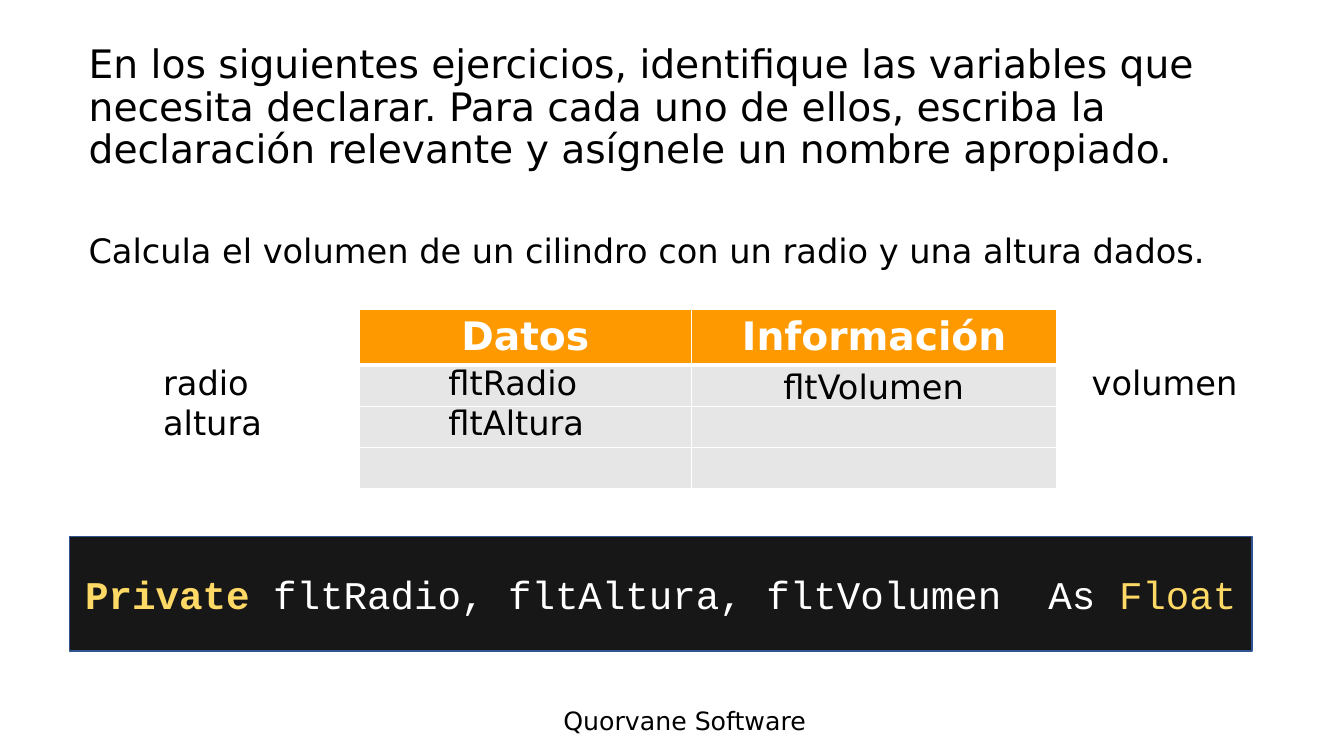
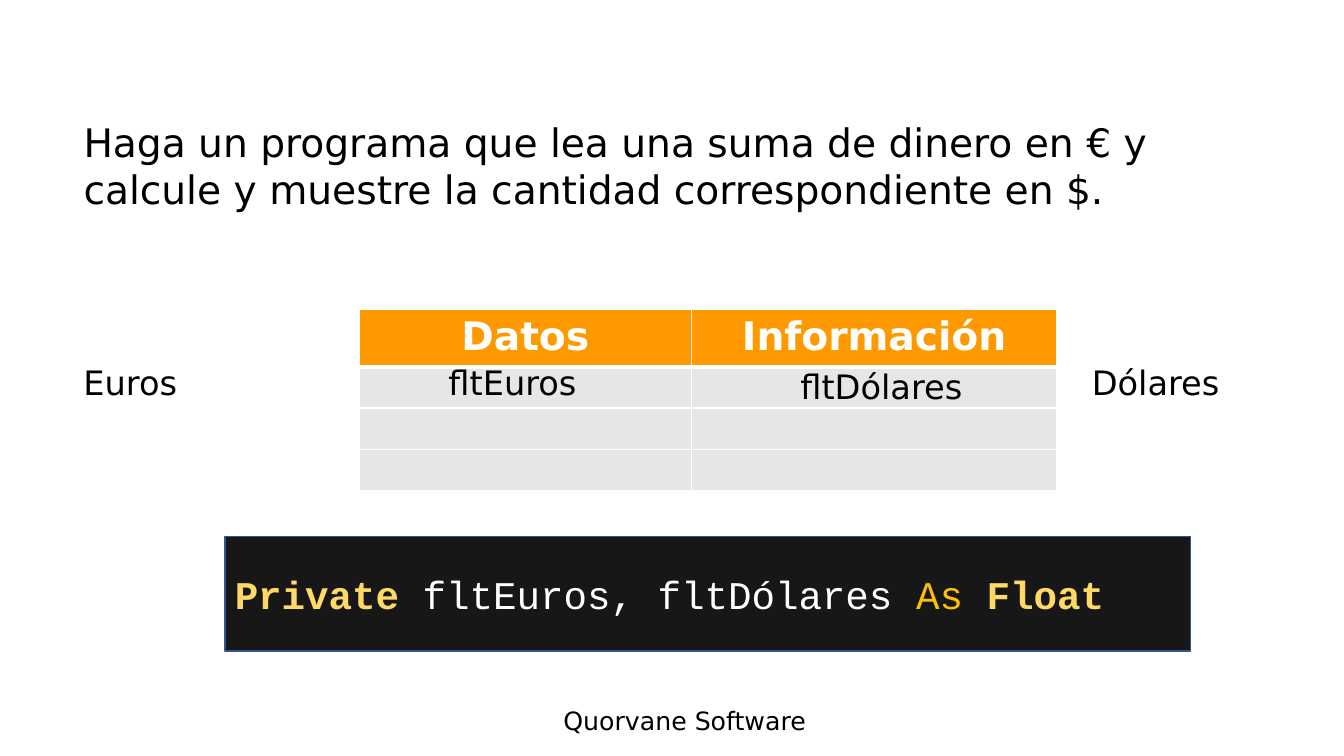
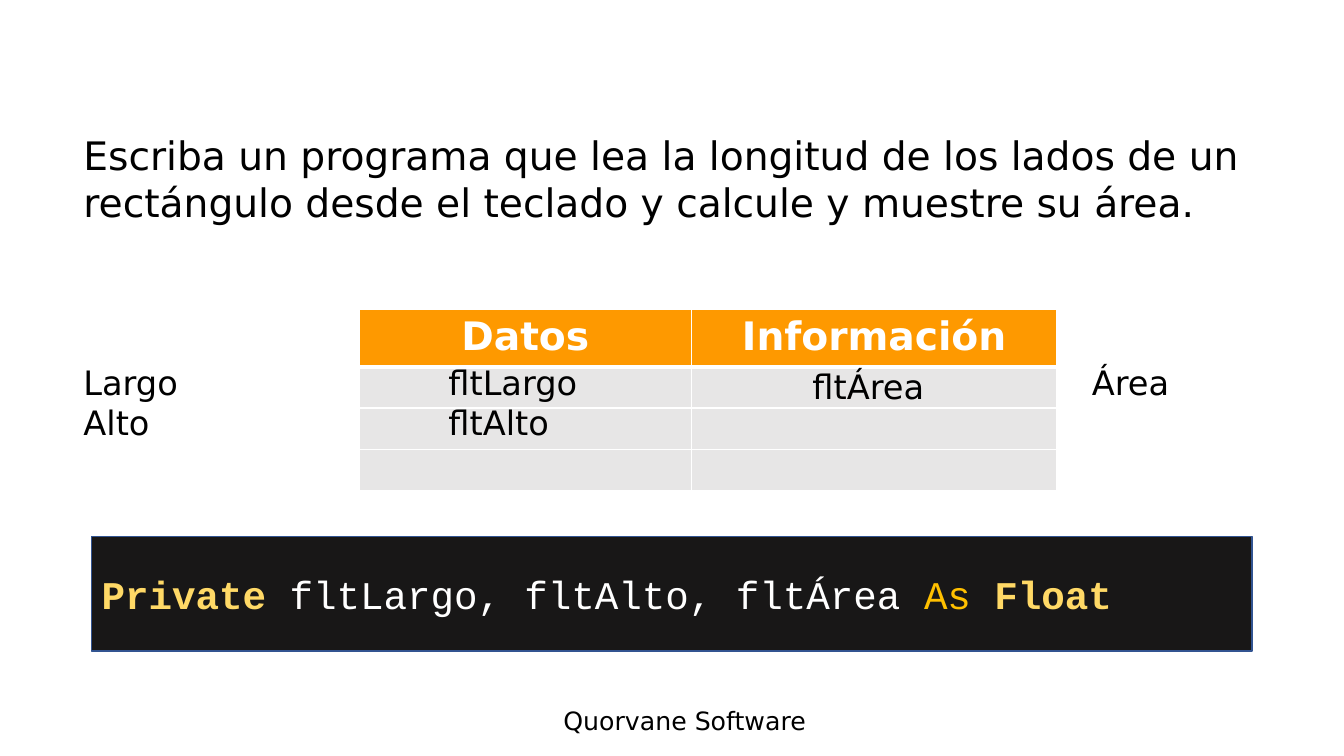
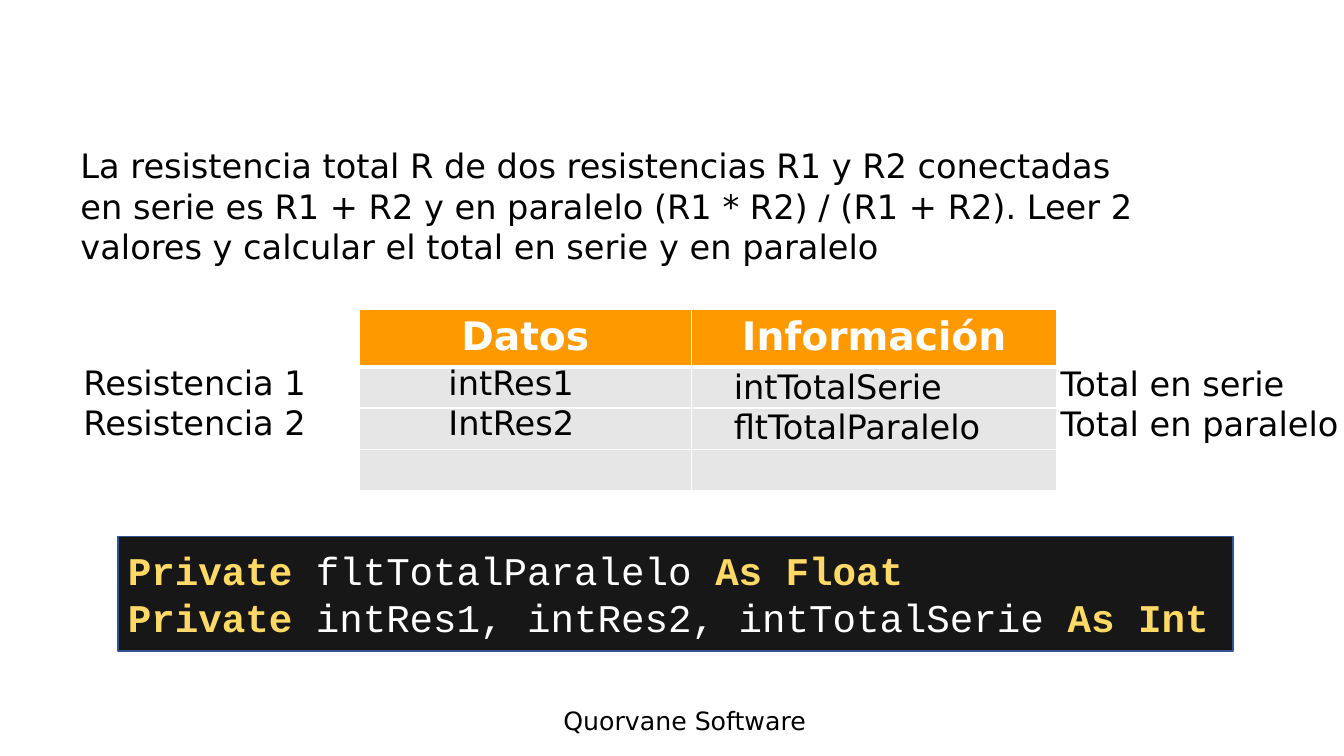
"""Build four exercise slides on choosing and declaring variables."""
from dataclasses import dataclass, field
from typing import Any

from lxml.etree import SubElement
from pptx import Presentation
from pptx.dml.color import RGBColor as RGB
from pptx.enum.shapes import MSO_SHAPE as SHAPE
from pptx.enum.text import MSO_ANCHOR as ANCHOR, MSO_AUTO_SIZE as AUTO, PP_ALIGN as ALIGN
from pptx.oxml.ns import qn
from pptx.util import Emu, Pt


@dataclass(frozen=True)
class Theme:
    """Colours, fonts and type sizes of the deck."""
    text: str = "000000"
    white: str = "FFFFFF"
    header: str = "FE9900"
    cell: str = "E7E6E6"
    code: str = "181717"
    outline: str = "325491"
    keyword: str = "FFD966"
    accent: str = "FFC000"
    sans: str = "DejaVu Sans"
    mono: str = "Courier New"
    large: int = 28
    medium: int = 24
    small: int = 18


@dataclass(frozen=True)
class Box:
    """A rectangle in px."""
    x: int
    y: int
    w: int
    h: int

    def emu(self) -> tuple[Emu, ...]:
        """Give left, top, width and height in EMU."""
        return tuple(px(v) for v in (self.x, self.y, self.w, self.h))


@dataclass(frozen=True)
class Run:
    """A stretch of text in one format."""
    text: str
    color: str
    bold: bool = False


@dataclass(frozen=True)
class Label:
    """Lines of plain text in a box."""
    box: Box
    lines: list[str]
    size: int = Theme.medium


@dataclass(frozen=True)
class Exercise:
    """The content of one slide."""
    labels: list[Label]
    code_x: int
    code_w: int
    code: list[list[Run]]
    code_align: Any = ALIGN.LEFT
    title: str = ""


THEME = Theme()
EMU_PER_PX = 9144
TABLE = Box(356, 307, 692, 178)
COLUMNS = (330, 362)
ROWS = (55, 41, 41, 41)
HEADINGS = ("Datos", "Información")
TITLE = Box(78, 27, 1163, 161)
FOOTER = Label(Box(549, 695, 290, 40), ["Quorvane Software"], THEME.small)
CODE_Y, CODE_H = 532, 114
NAMES_Y = 354
RESULT_Y = 358


def px(v: int) -> Emu:
    """Turn px into EMU."""
    return Emu(v * EMU_PER_PX)


def keyword(text: str) -> Run:
    """Make a bold keyword run."""
    return Run(text, THEME.keyword, True)


def plain(text: str) -> Run:
    """Make a plain code run."""
    return Run(text, THEME.white)


def names(x: int, w: int, *lines: str, y: int = NAMES_Y) -> Label:
    """Make a list of names beside or over the table."""
    return Label(Box(x, y, w, 10 + 40 * len(lines)), list(lines))


def write(tf: Any, lines: list[list[Run]], size: int, font: str = THEME.sans,
          **formats: Any) -> None:
    """Write paragraphs of runs into a text frame."""
    for i, runs in enumerate(lines):
        p = tf.add_paragraph() if i else tf.paragraphs[0]
        for key, value in formats.items():
            setattr(p, key, value)
        for run in runs:
            r = p.add_run()
            r.text = run.text
            for key, value in {"name": font, "size": Pt(size), "bold": run.bold}.items():
                setattr(r.font, key, value)
            r.font.color.rgb = RGB.from_string(run.color)


def paint(fill: Any, color: str) -> None:
    """Give a fill one solid colour."""
    fill.solid()
    fill.fore_color.rgb = RGB.from_string(color)


def add_label(s: Any, label: Label) -> Any:
    """Add a wrapping text box."""
    sp = s.shapes.add_textbox(*label.box.emu())
    sp.text_frame.word_wrap = True
    write(sp.text_frame, [[Run(t, THEME.text)] for t in label.lines], label.size)
    return sp


def add_title(s: Any, text: str) -> None:
    """Place and fill the title placeholder."""
    sp = s.shapes.title
    for key, value in zip(("left", "top", "width", "height"), TITLE.emu()):
        setattr(sp, key, value)
    tf = sp.text_frame
    for key, value in {"vertical_anchor": ANCHOR.MIDDLE, "auto_size": AUTO.NONE,
                       "word_wrap": True}.items():
        setattr(tf, key, value)
    write(tf, [[Run(text, THEME.text)]], THEME.large,
          alignment=ALIGN.LEFT, line_spacing=0.9)


def add_borders(cell: Any, top: int, bottom: int) -> None:
    """Draw white borders, with top and bottom widths in points."""
    pr = cell._tc.get_or_add_tcPr()
    for side, width in {"lnL": 1, "lnR": 1, "lnT": top, "lnB": bottom}.items():
        ln = SubElement(pr, qn(f"a:{side}"), w=str(Pt(width)))
        fill = SubElement(ln, qn("a:solidFill"))
        SubElement(fill, qn("a:srgbClr"), val=THEME.white)


def add_table(s: Any) -> None:
    """Add the table of data and information."""
    table = s.shapes.add_table(len(ROWS), len(COLUMNS), *TABLE.emu()).table
    for column, width in zip(table.columns, COLUMNS):
        column.width = px(width)
    for i, (row, height) in enumerate(zip(table.rows, ROWS)):
        row.height = px(height)
        for cell in row.cells:
            add_borders(cell, 3 if i == 1 else 1, 1 if i else 3)
            paint(cell.fill, THEME.cell if i else THEME.header)
    for cell, heading in zip(table.rows[0].cells, HEADINGS):
        write(cell.text_frame, [[Run(heading, THEME.white, True)]], THEME.large,
              alignment=ALIGN.CENTER)


def add_code(s: Any, ex: Exercise) -> None:
    """Add the dark panel with the declaration."""
    sp = s.shapes.add_shape(SHAPE.RECTANGLE, *Box(ex.code_x, CODE_Y, ex.code_w, CODE_H).emu())
    sp.shadow.inherit = False
    paint(sp.fill, THEME.code)
    paint(sp.line.fill, THEME.outline)
    sp.line.width = Pt(1)
    tf = sp.text_frame
    tf.word_wrap = True
    tf.vertical_anchor = ANCHOR.MIDDLE
    write(tf, ex.code, THEME.large, THEME.mono, alignment=ex.code_align)


def add_exercise(prs: Any, ex: Exercise) -> Any:
    """Add one exercise slide."""
    s = prs.slides.add_slide(prs.slide_layouts[5 if ex.title else 6])
    if ex.title:
        add_title(s, ex.title)
    add_table(s)
    for label in ex.labels:
        add_label(s, label)
    add_code(s, ex)
    return s


EXERCISES = [
    Exercise(
        title="En los siguientes ejercicios, identifique las variables que necesita declarar. "
              "Para cada uno de ellos, escriba la declaración relevante y asígnele un nombre "
              "apropiado.",
        labels=[
            Label(Box(78, 223, 1163, 50),
                  ["Calcula el volumen de un cilindro con un radio y una altura dados."]),
            names(152, 204, "radio", "altura"),
            names(1073, 196, "volumen"),
            names(435, 204, "fltRadio", "fltAltura"),
            names(767, 225, "fltVolumen", y=RESULT_Y),
        ],
        code_x=69, code_w=1173, code_align=ALIGN.CENTER,
        code=[[keyword("Private "), plain("fltRadio, fltAltura, fltVolumen  As "),
               Run("Float", THEME.keyword)]],
    ),
    Exercise(
        labels=[
            Label(Box(73, 112, 1169, 104),
                  ["Haga un programa que lea una suma de dinero en € y calcule y muestre "
                   "la cantidad correspondiente en $."], THEME.large),
            names(73, 283, "Euros"),
            names(1073, 245, "Dólares"),
            names(435, 204, "fltEuros"),
            names(784, 196, "fltDólares", y=RESULT_Y),
        ],
        code_x=223, code_w=958,
        code=[[keyword("Private "), plain("fltEuros, fltDólares "),
               Run("As", THEME.accent), keyword(" Float")]],
    ),
    Exercise(
        labels=[
            Label(Box(73, 125, 1187, 104),
                  ["Escriba un programa que lea la longitud de los lados de un rectángulo "
                   "desde el teclado y calcule y muestre su área."], THEME.large),
            names(73, 283, "Largo", "Alto"),
            names(1073, 245, "Área"),
            names(435, 204, "fltLargo", "fltAlto"),
            names(796, 196, "fltÁrea", y=RESULT_Y),
        ],
        code_x=91, code_w=1151,
        code=[[keyword("Private "), plain("fltLargo, fltAlto, fltÁrea "),
               Run("As", THEME.accent), keyword(" Float")]],
    ),
    Exercise(
        labels=[
            Label(Box(70, 139, 1194, 131),
                  ["La resistencia total R de dos resistencias R1 y R2 conectadas",
                   "en serie es R1 + R2 y en paralelo (R1 * R2) / (R1 + R2). Leer 2 valores "
                   "y calcular el total en serie y en paralelo"]),
            names(73, 283, "Resistencia 1", "Resistencia 2"),
            names(1042, 298, "Total en serie", "Total en paralelo", y=355),
            names(435, 204, "intRes1", "IntRes2"),
            names(718, 275, "intTotalSerie", "fltTotalParalelo", y=RESULT_Y),
        ],
        code_x=117, code_w=1106,
        code=[[keyword("Private "), plain("fltTotalParalelo "), keyword("As Float")],
              [keyword("Private "), plain("intRes1, intRes2, intTotalSerie "),
               keyword("As Int")]],
    ),
]


def main() -> None:
    """Build and save the deck."""
    prs = Presentation()
    prs.slide_width, prs.slide_height = px(1333), px(750)
    slides = [add_exercise(prs, ex) for ex in EXERCISES]
    footer = add_label(slides[0], FOOTER)
    prs.slide_master.element.cSld.spTree.append(footer.element)
    prs.save("out.pptx")


if __name__ == "__main__":
    main()
